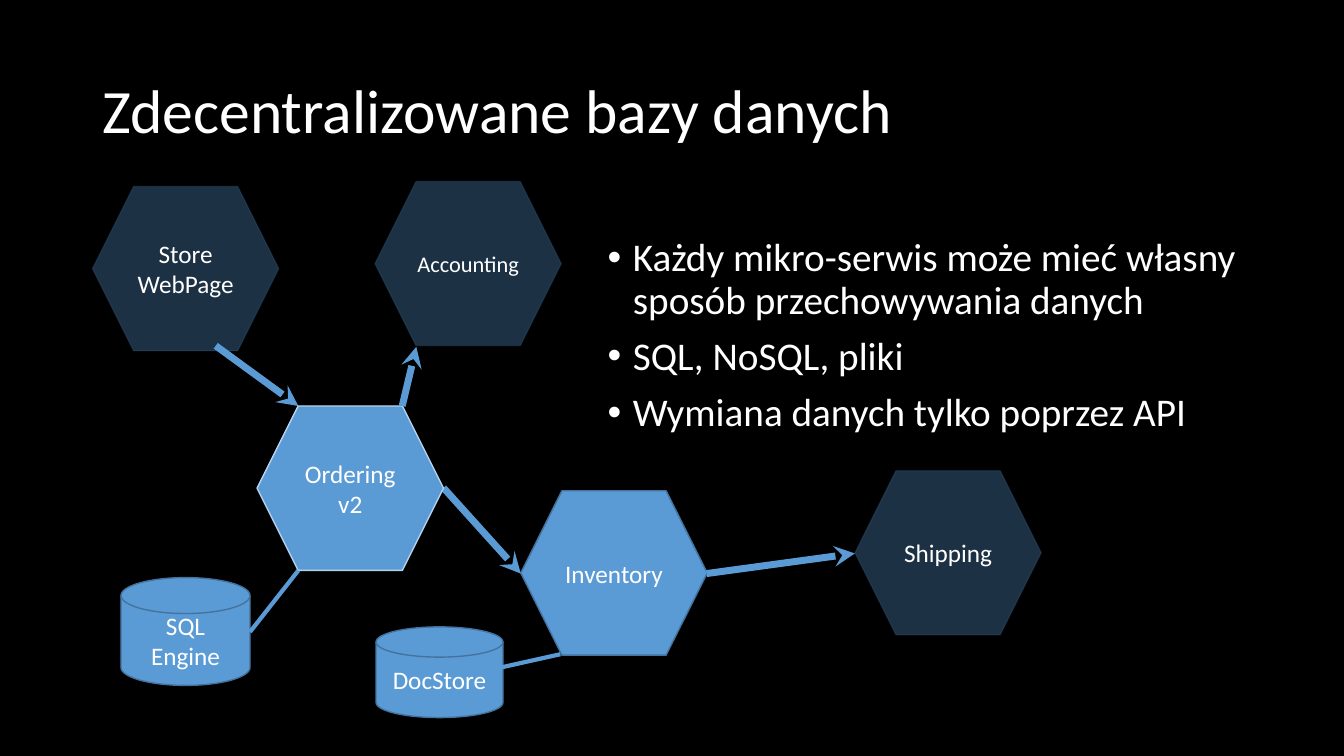
from lxml.etree import SubElement
from pptx import Presentation
from pptx.dml.color import RGBColor
from pptx.enum.shapes import MSO_CONNECTOR, MSO_SHAPE
from pptx.enum.text import MSO_ANCHOR, PP_ALIGN
from pptx.oxml.ns import qn
from pptx.util import Pt

BLUE = "5B9BD5"
DARK_BLUE = "43739E"
PALE_BLUE = "B5D2EC"
WHITE = "FFFFFF"
BLACK = "000000"
HEXAGON_SIZE = (133.2, 117.4)


def color(value):
    return RGBColor.from_string(value)


def set_fill(fill, value, opacity=100):
    fill.solid()
    fill.fore_color.rgb = color(value)
    if opacity < 100:
        solid = fill._xPr.find(qn("a:solidFill"))
        SubElement(solid[0], qn("a:alpha"), val=str(opacity * 1000))


def add_span(para, text, size):
    span = para.add_run()
    span.text = text
    span.font.name = "Calibri"
    span.font.size = Pt(size)
    span.font.color.rgb = color(WHITE)


def add_text(page, left, top, width, height, lines, size, anchor, bulleted=False):
    box = page.shapes.add_textbox(Pt(left), Pt(top), Pt(width), Pt(height))
    frame = box.text_frame
    frame.word_wrap = True
    frame.vertical_anchor = anchor
    for index, line in enumerate(lines):
        para = frame.paragraphs[0] if index == 0 else frame.add_paragraph()
        para.line_spacing = 0.9
        if index:
            para.space_before = Pt(10)
        if bulleted:
            properties = para._p.get_or_add_pPr()
            properties.set("marL", str(Pt(18)))
            properties.set("indent", str(Pt(-18)))
            SubElement(properties, qn("a:buFont"), typeface="Arial")
            SubElement(properties, qn("a:buChar"), char="•")
        add_span(para, line, size)


def add_node(page, kind, left, top, size, lines, text_size=18, outline=DARK_BLUE, faded=False):
    width, height = size
    node = page.shapes.add_shape(kind, Pt(left), Pt(top), Pt(width), Pt(height))
    node.shadow.inherit = False
    set_fill(node.fill, BLUE, 32 if faded else 100)
    set_fill(node.line.fill, outline, 18 if faded else 100)
    node.line.width = Pt(1)
    frame = node.text_frame
    frame.word_wrap = True
    frame.vertical_anchor = MSO_ANCHOR.MIDDLE
    for index, line in enumerate(lines):
        para = frame.paragraphs[0] if index == 0 else frame.add_paragraph()
        para.alignment = PP_ALIGN.CENTER
        add_span(para, line, text_size)


def add_service(page, left, top, *lines, **style):
    add_node(page, MSO_SHAPE.HEXAGON, left, top, HEXAGON_SIZE, lines, **style)


def add_database(page, left, top, width, height, name):
    add_node(page, MSO_SHAPE.FLOWCHART_MAGNETIC_DISK, left, top, (width, height), [name])


def add_link(page, start, end, width=3, arrow=False):
    link = page.shapes.add_connector(
        MSO_CONNECTOR.STRAIGHT, Pt(start[0]), Pt(start[1]), Pt(end[0]), Pt(end[1])
    )
    set_fill(link.line.fill, BLUE)
    link.line.width = Pt(width)
    if arrow:
        SubElement(link.line._get_or_add_ln(), qn("a:tailEnd"), type="stealth")
    SubElement(link._element.spPr, qn("a:effectLst"))


def add_call(page, start, end):
    add_link(page, start, end, width=5, arrow=True)


def main():
    deck = Presentation()
    deck.slide_width = Pt(960)
    deck.slide_height = Pt(540)
    page = deck.slides.add_slide(deck.slide_layouts[6])
    set_fill(page.background.fill, BLACK)

    add_service(page, 267.8, 129.6, "Accounting", text_size=16, faded=True)
    add_text(page, 66, 28.8, 828, 104.4, ["Zdecentralizowane bazy danych"], 44, MSO_ANCHOR.MIDDLE)
    rules = [
        "Każdy mikro-serwis może mieć własny sposób przechowywania danych",
        "SQL, NoSQL, pliki",
        "Wymiana danych tylko poprzez API",
    ]
    add_text(page, 427, 166.3, 467.3, 320.4, rules, 28, MSO_ANCHOR.TOP, bulleted=True)
    add_service(page, 66, 133.2, "Store WebPage", faded=True)
    add_service(page, 372, 350.6, "Inventory")
    add_call(page, (154.1, 247), (213.1, 290))
    add_call(page, (316.8, 348.5), (372, 409.7))
    add_service(page, 183.6, 290, "Ordering", "v2", outline=PALE_BLUE)
    add_database(page, 86.4, 412.6, 92.2, 77, "SQL Engine")
    add_database(page, 268.6, 447.8, 90.7, 64.8, "DocStore")
    add_link(page, (178.6, 451.4), (213.1, 407.5))
    add_link(page, (355, 477.4), (400.3, 467.3))
    add_call(page, (287.3, 290), (297.4, 247.7))
    add_service(page, 610.6, 336.2, "Shipping", faded=True)
    add_call(page, (504.7, 409.7), (610.6, 395.3))

    deck.save("out.pptx")


if __name__ == "__main__":
    main()
